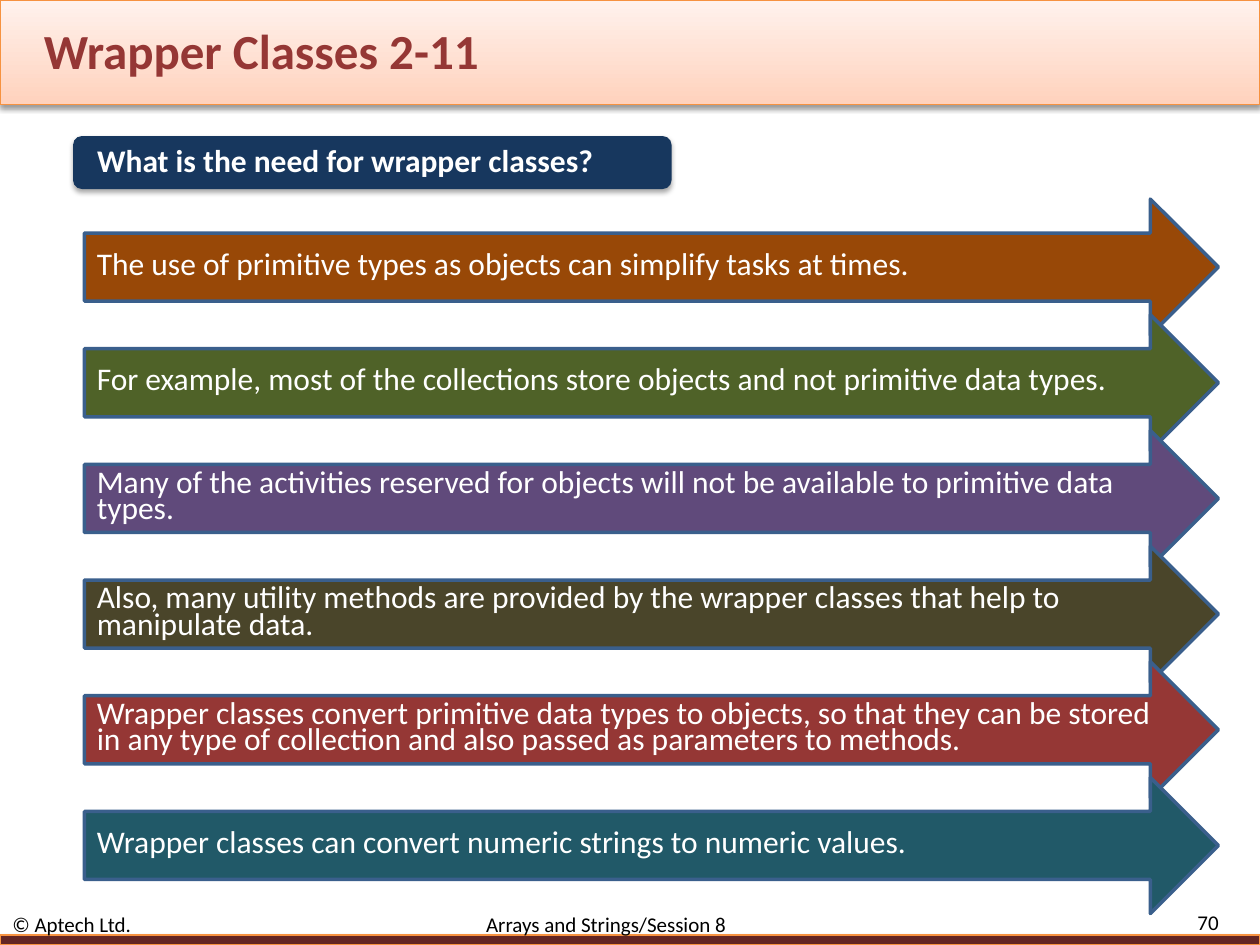
from lxml import etree
from pptx import Presentation
from pptx.dml.color import RGBColor
from pptx.enum.shapes import MSO_SHAPE
from pptx.enum.text import MSO_ANCHOR, PP_ALIGN
from pptx.oxml.ns import qn
from pptx.util import Inches, Pt

RECTANGLE = MSO_SHAPE.RECTANGLE
ROUNDED = MSO_SHAPE.ROUNDED_RECTANGLE
ARROW = MSO_SHAPE.RIGHT_ARROW
MIDDLE = MSO_ANCHOR.MIDDLE
LEFT, RIGHT = PP_ALIGN.LEFT, PP_ALIGN.RIGHT

FONT = "Calibri"
BLACK = RGBColor(0x00, 0x00, 0x00)
WHITE = RGBColor(0xFF, 0xFF, 0xFF)
ORANGE = RGBColor(0xF6, 0x92, 0x40)
PEACH = RGBColor(0xFF, 0xD2, 0xBD)
PALE_PEACH = RGBColor(0xFF, 0xF2, 0xED)
MAROON = RGBColor(0x63, 0x25, 0x23)
RED = RGBColor(0x95, 0x37, 0x35)
NAVY = RGBColor(0x17, 0x37, 0x5E)
EDGE_BLUE = RGBColor(0x3A, 0x5F, 0x8C)
BROWN = RGBColor(0x98, 0x48, 0x07)
GREEN = RGBColor(0x4F, 0x62, 0x28)
PURPLE = RGBColor(0x60, 0x4A, 0x7B)
OLIVE = RGBColor(0x4A, 0x45, 0x2A)
TEAL = RGBColor(0x21, 0x59, 0x68)

TITLE = "Wrapper Classes 2-11"
QUESTION = "What is the need for wrapper classes?"
REASONS = [
    ("The use of primitive types as objects can simplify tasks at times.", BROWN),
    ("For example, most of the collections store objects and not primitive data types.", GREEN),
    ("Many of the activities reserved for objects will not be available to primitive data types.", PURPLE),
    ("Also, many utility methods are provided by the wrapper classes that help to manipulate data.", OLIVE),
    ("Wrapper classes convert primitive data types to objects, so that they can be stored "
     "in any type of collection and also passed as parameters to methods.", RED),
    ("Wrapper classes can convert numeric strings to numeric values.", TEAL),
]
COPYRIGHT = "© Aptech Ltd."
SESSION = "Arrays and Strings/Session 8"
PAGE_NUMBER = "70"

ARROW_TOP, ARROW_STEP = 1.58, 0.918
SESSION_TAB = 3.76


def add_shape(page, kind, place, color=None, line=None, line_width=0.75):
    shape = page.shapes.add_shape(kind, *[Inches(value) for value in place])
    shape.shadow.inherit = False
    if color is not None:
        shape.fill.solid()
        shape.fill.fore_color.rgb = color
    if line is None:
        shape.line.fill.background()
    else:
        shape.line.color.rgb = line
        shape.line.width = Pt(line_width)
    return shape


def add_shadow(shape, opacity):
    """Put a soft black shadow just below the shape."""
    effects = shape._element.spPr.find(qn("a:effectLst"))
    shadow = etree.SubElement(effects, qn("a:outerShdw"), blurRad=str(Pt(3.1)),
                              dist=str(Pt(1.8)), dir="5400000", rotWithShape="0")
    black = etree.SubElement(shadow, qn("a:srgbClr"), val="000000")
    etree.SubElement(black, qn("a:alpha"), val=str(opacity * 1000))


def write(shape, text, size, color, bold=False, align=LEFT, spacing=None, inset=0.1):
    frame = shape.text_frame
    frame.word_wrap = True
    frame.vertical_anchor = MIDDLE
    frame.margin_left = frame.margin_right = Inches(inset)
    para = frame.paragraphs[0]
    para.alignment = align
    para.line_spacing = spacing
    span = para.add_run()
    span.text = text
    span.font.name = FONT
    span.font.size = Pt(size)
    span.font.bold = bold
    span.font.color.rgb = color
    return para


def add_text(page, place, text, size, color, **style):
    box = page.shapes.add_textbox(*[Inches(value) for value in place])
    return write(box, text, size, color, **style)


def add_header(page):
    band = add_shape(page, RECTANGLE, (0, 0, 10, 0.83), line=ORANGE)
    band.fill.gradient()
    band.fill.gradient_angle = 90
    for stop, color, position in zip(band.fill.gradient_stops, (PEACH, PALE_PEACH), (0, 1)):
        stop.color.rgb = color
        stop.position = position
    add_shadow(band, 38)
    add_text(page, (0.25, 0.17, 8.33, 0.45), TITLE, 28, RED, bold=True)


def add_footer(page):
    strip = add_shape(page, RECTANGLE, (0, 7.42, 10, 0.08), MAROON, ORANGE)
    add_shadow(strip, 35)
    add_text(page, (8.92, 7.23, 0.85, 0.18), PAGE_NUMBER, 12, BLACK, align=RIGHT)
    para = add_text(page, (0, 7.25, 8.83, 0.17), f"{COPYRIGHT}\t{SESSION}", 12, BLACK)
    tabs = etree.SubElement(para._p.get_or_add_pPr(), qn("a:tabLst"))
    etree.SubElement(tabs, qn("a:tab"), pos=str(Inches(SESSION_TAB)), algn="l")


def main():
    deck = Presentation()
    deck.slide_width, deck.slide_height = Inches(10), Inches(7.5)
    page = deck.slides.add_slide(deck.slide_layouts[6])

    add_header(page)
    add_footer(page)

    question = add_shape(page, ROUNDED, (0.58, 1.08, 4.75, 0.42), NAVY)
    add_shadow(question, 35)
    write(question, QUESTION, 18, WHITE, bold=True, spacing=0.9, inset=0.17)

    for index, (reason, color) in enumerate(REASONS):
        place = (0.67, ARROW_TOP + index * ARROW_STEP, 9, 1.08)
        arrow = add_shape(page, ARROW, place, color, EDGE_BLUE, 2)
        write(arrow, reason, 18, WHITE, spacing=0.7)

    deck.save("out.pptx")


if __name__ == "__main__":
    main()
